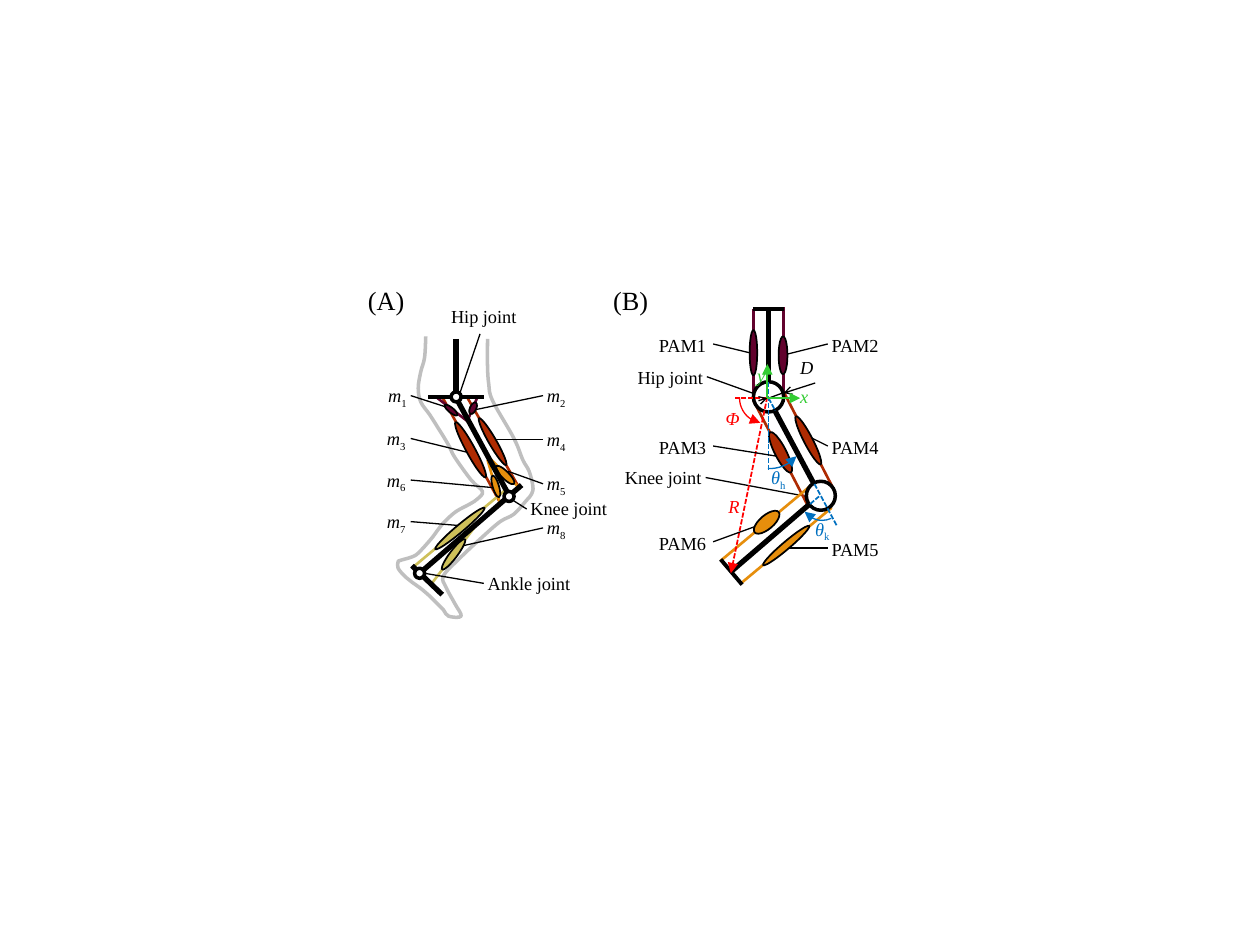
from lxml import etree
from pptx import Presentation, util as u
from pptx.dml.color import RGBColor
from pptx.enum import dml, shapes, text
from pptx.oxml.ns import qn

COLORS = {"black": "000000", "white": "FFFFFF", "skin": "BFBFBF", "red": "FF0000",
          "blue": "0070C0", "green": "33CC33", "plum": "62022D", "rust": "AE2B02",
          "orange": "E68E0C", "olive": "CEC05A"}
FONT = "Times New Roman"
COLS, ROWS = 1000, 750
LEG_OUTLINE = [
    (338, 267), (337, 284), (334, 295), (332, 308), (334, 319), (341, 329), (348, 340),
    (353, 348), (357, 355), (361, 363), (374, 381), (383, 390), (379, 396), (373, 400),
    (362, 406), (353, 414), (348, 420), (342, 428), (332, 439), (327, 442), (324, 443),
    (317, 445), (316, 446), (316, 451), (322, 458), (327, 462), (334, 467), (341, 473),
    (346, 478), (352, 484), (356, 489), (366, 489), (361, 479), (354, 466), (352, 457),
    (365, 443), (382, 427), (397, 414), (408, 408), (418, 397), (422, 392), (423, 386),
    (420, 374), (415, 365), (408, 348), (391, 318), (388, 305), (387, 291), (387, 269)]


def rgb(name):
    return RGBColor.from_string(COLORS[name])


def add_run(p, content, size=10.5, color="black", italic=False, subscript=False):
    r = p.add_run()
    r.text = content
    r.font.name, r.font.size, r.font.italic = FONT, u.Pt(size), italic
    r.font.color.rgb = rgb(color)
    if subscript:
        r.font._element.set("baseline", "-25000")


def smooth(sp):
    points = list(sp.element.spPr.iter(qn("a:pt")))
    xy = [(int(pt.get("x")), int(pt.get("y"))) for pt in points]
    xy = [xy[0], *xy, xy[-1]]
    for pt, a, b, c, d in zip(points[1:], xy, xy[1:], xy[2:], xy[3:]):
        segment = pt.getparent()
        segment.tag = qn("a:cubicBezTo")
        controls = [[q + (r - p) / 6 for p, q, r in zip(a, b, c)],
                    [r - (s - q) / 6 for q, r, s in zip(b, c, d)]]
        for i, (x, y) in enumerate(controls):
            control = etree.Element(qn("a:pt"), x=str(round(x)), y=str(round(y)))
            segment.insert(i, control)


class Sketch:
    """Draws styled elements on one slide, placed on a grid of columns and rows."""

    def __init__(self, prs):
        self.s = prs.slides.add_slide(prs.slide_layouts[6])
        self.col = prs.slide_width / COLS
        self.row = prs.slide_height / ROWS

    def grid(self, *cells):
        return [round(v * (self.row if i % 2 else self.col)) for i, v in enumerate(cells)]

    def stroke(self, sp, color, width, dash=False, head=None, tail=None):
        sp.line.color.rgb = rgb(color)
        sp.line.width = u.Pt(width)
        if dash:
            sp.line.dash_style = dml.MSO_LINE.SQUARE_DOT
        ln = sp.element.spPr.find(qn("a:ln"))
        for tag, kind in (("a:headEnd", head), ("a:tailEnd", tail)):
            if kind:
                size = "sm" if kind == "arrow" else "med"
                etree.SubElement(ln, qn(tag), type=kind, w=size, len=size)

    def line(self, start, end, color="black", width=0.75, **ends):
        sp = self.s.shapes.add_connector(shapes.MSO_CONNECTOR.STRAIGHT,
                                         *self.grid(*start, *end))
        self.stroke(sp, color, width, **ends)
        etree.SubElement(sp.element.spPr, qn("a:effectLst"))

    def ellipse(self, box, fill="white", width=2, rotation=0):
        sp = self.s.shapes.add_shape(shapes.MSO_SHAPE.OVAL, *self.grid(*box))
        sp.shadow.inherit = False
        sp.rotation = rotation
        sp.fill.solid()
        sp.fill.fore_color.rgb = rgb(fill)
        self.stroke(sp, "black", width)

    def arc(self, x, y, size, start, end, color, **ends):
        sp = self.s.shapes.add_shape(shapes.MSO_SHAPE.ARC, *self.grid(x, y, size, size))
        sp.shadow.inherit = False
        sp.adjustments[0], sp.adjustments[1] = start * 0.6, end * 0.6
        sp.fill.background()
        self.stroke(sp, color, 0.75, **ends)

    def muscle(self, color, start, end, box, rotation=0):
        self.line(start, end, color, 1.5)
        self.ellipse(box, color, 1, rotation)

    def curve(self, points, color, width):
        first, *rest = [tuple(self.grid(*xy)) for xy in points]
        builder = self.s.shapes.build_freeform(*first)
        builder.add_line_segments(rest, close=False)
        sp = builder.convert_to_shape()
        smooth(sp)
        sp.shadow.inherit = False
        sp.fill.background()
        self.stroke(sp, color, width)

    def label(self, box, content, sub="", insets=(3, 0, 3, 0), center=False, **style):
        tf = self.s.shapes.add_textbox(*self.grid(*box)).text_frame
        tf.word_wrap = False
        tf.auto_size = text.MSO_AUTO_SIZE.SHAPE_TO_FIT_TEXT
        (tf.margin_left, tf.margin_top,
         tf.margin_right, tf.margin_bottom) = self.grid(*insets)
        p = tf.paragraphs[0]
        p.alignment = text.PP_ALIGN.CENTER if center else text.PP_ALIGN.LEFT
        add_run(p, content, **style)
        if sub:
            add_run(p, sub, **{**style, "italic": False}, subscript=True)

    def panel(self, x, content):
        self.label((x, 221, 49, 35), content, insets=(10, 5, 10, 5), center=True, size=15)


def draw_human_leg(sk):
    sk.curve(LEG_OUTLINE, "skin", 2)
    sk.panel(282, "(A)")
    sk.muscle("rust", (351, 315), (397, 399), (370, 332, 7, 50), 331.4)
    sk.muscle("olive", (401, 389), (328, 450), (362, 394, 6, 51), 50)
    sk.muscle("olive", (377, 418), (342, 464), (357, 425, 6, 30), 37)
    sk.line((351, 472), (327, 449), width=3)
    sk.muscle("rust", (370, 314), (412, 387), (388, 329, 6, 43), 330)
    sk.muscle("orange", (389, 364), (412, 387), (398, 367, 6, 20), 315)
    sk.muscle("orange", (387, 365), (397, 400), (391, 377, 5, 18), 343.3)
    sk.muscle("plum", (379, 315), (371, 334), (373, 319, 5, 10), 25)
    sk.muscle("plum", (346, 315), (372, 335), (356, 319, 4, 13), 309)
    muscles = [(305, 305, (354, 323), (326, 314)), (431, 305, (378, 325), (431, 314)),
               (304, 339, (371, 359), (326, 348)), (431, 340, (394, 349), (431, 349)),
               (431, 375, (403, 374), (431, 384)), (304, 372, (391, 387), (326, 381)),
               (304, 405, (363, 417), (326, 414)), (431, 410, (368, 433), (431, 419))]
    for number, (x, y, start, end) in enumerate(muscles, 1):
        sk.line(start, end)
        sk.label((x, y, 22, 18), "m", str(number), italic=True)
    sk.line((384, 315), (340, 315), width=2.25)
    for start, end in [((362, 269), (362, 316)), ((405, 395), (361, 314)),
                       ((414, 385), (333, 455))]:
        sk.line(start, end, width=3)
    joints = [("Hip joint", (358, 311), (352, 237, 58, 28), 6, (365, 312), (381, 265)),
              ("Knee joint", (400, 390), (418, 390, 65, 28), 3, (407, 397), (418, 404)),
              ("Ankle joint", (329, 451), (384, 449, 69, 28), 3, (337, 455), (384, 463))]
    for name, corner, box, inset, start, end in joints:
        sk.ellipse((*corner, 8, 8))
        sk.line(start, end)
        sk.label(box, name, insets=(inset, 5, 0, 5))


def draw_robot_leg(sk):
    sk.panel(476, "(B)")
    sk.line((640, 394), (560, 379))
    sk.line((600, 313), (561, 299))
    sk.muscle("rust", (662, 389), (622, 311), (638, 328, 7, 43), 332.7)
    sk.muscle("plum", (622, 319), (622, 244), (618, 267, 7, 30))
    sk.muscle("plum", (598, 315), (598, 245), (595, 262, 6, 36))
    sk.muscle("rust", (641, 401), (598, 318), (615, 341, 9, 36), 332.7)
    sk.muscle("orange", (588, 463), (660, 403), (621, 409, 6, 48), 49.6)
    sk.muscle("orange", (572, 445), (644, 385), (603, 402, 11, 25), 49.6)
    sk.line((652, 392), (581, 453), width=3)
    sk.ellipse((598, 303, 24, 24))
    sk.ellipse((640, 382, 23, 23))
    sk.line((622, 245), (598, 245), width=2.25)
    sk.line((572, 444), (589, 464), width=2.25)
    sk.line((610, 303), (610, 374), "blue", 1, dash=True)
    sk.arc(583, 316, 56, 40.5, 92.9, "blue", head="triangle")
    sk.arc(635, 378, 35, 65.2, 142.75, "blue", tail="triangle")
    sk.line((609, 315), (580, 455), "red", 1, dash=True, tail="triangle")
    pams = [(520, 265, (595, 280), (566, 273)), (657, 265, (625, 281), (657, 273)),
            (520, 346, (616, 362), (566, 354)), (657, 346, (645, 348), (657, 354)),
            (657, 427, (626, 435), (657, 435)), (520, 422, (599, 418), (566, 430))]
    for number, (x, y, start, end) in enumerate(pams, 1):
        sk.label((x, y, 45, 18), f"PAM{number}")
        sk.line(start, end)
    sk.arc(587, 296, 40, 100.25, 181.6, "red", head="triangle")
    sk.line((609, 316), (583, 316), "red", 1, dash=True)
    sk.line((643, 400), (650, 394), "blue", 1, dash=True)
    sk.line((610, 245), (610, 303), width=3)
    sk.line((610, 316), (664, 417), "blue", 1, dash=True)
    sk.line((646, 384), (615, 326), width=3)
    sk.line((621, 312), (610, 316))
    sk.line((609, 316), (602, 318), head="arrow")
    sk.line((622, 312), (647, 304), head="arrow")
    sk.label((503, 291, 59, 18), "Hip joint")
    sk.label((493, 370, 67, 18), "Knee joint")
    for tip in [(635, 316), (609, 289)]:
        sk.line(tip, (609, 316), "green", 1, head="triangle")
    symbols = [("θ", "k", 644, 411, 18, "blue"), ("θ", "h", 609, 370, 18, "blue"),
               ("Φ", "", 573, 323, 17, "red"), ("R", "", 575, 393, 15, "red"),
               ("D", "", 632, 283, 17, "black"), ("x", "", 632, 306, 12, "green"),
               ("y", "", 598, 289, 12, "green")]
    for symbol, sub, x, y, width, color in symbols:
        sk.label((x, y, width, 18), symbol, sub, color=color, italic=True)


def main():
    prs = Presentation()
    prs.slide_width, prs.slide_height = u.Inches(10), u.Inches(7.5)
    sk = Sketch(prs)
    draw_human_leg(sk)
    draw_robot_leg(sk)
    prs.save("out.pptx")


if __name__ == "__main__":
    main()
